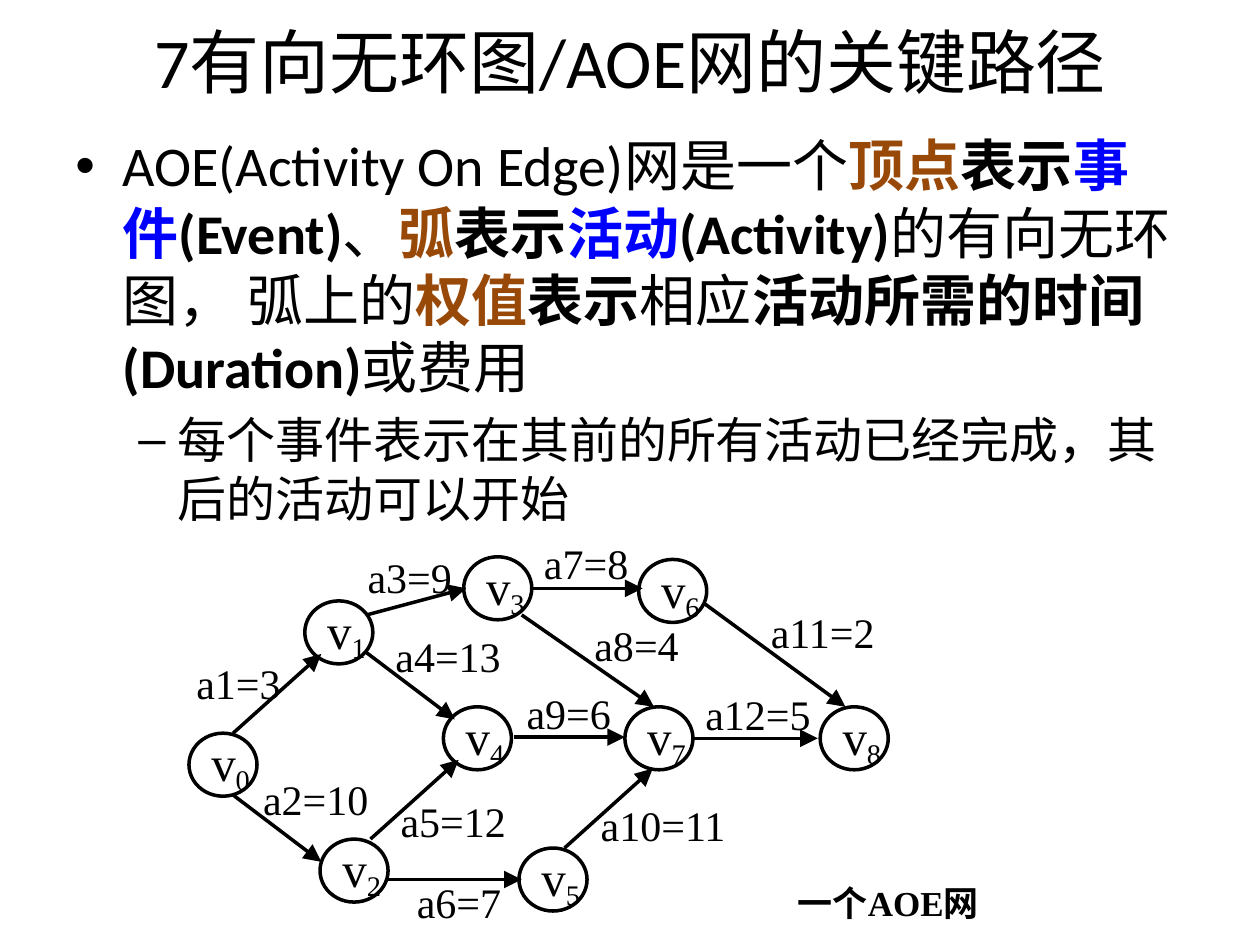
"""Build the slide on critical paths in AOE networks."""
import pptx
import pptx.util
import pptx.dml.color
import pptx.enum.shapes
import pptx.enum.text
import pptx.oxml
import pptx.oxml.ns
from lxml import etree

Pt = pptx.util.Pt
ALIGN = pptx.enum.text.PP_ALIGN
ANCHOR = pptx.enum.text.MSO_ANCHOR
COLORS = {"ink": "000000", "brown": "984807", "blue": "0000FF"}
SANS, SERIF = "Calibri", "Times New Roman"

TITLE = "7有向无环图/AOE网的关键路径"
CAPTION = "一个AOE网"
DEFINITION = [
    ("AOE(Activity On Edge)网是一个", "ink", False),
    ("顶点", "brown", True),
    ("表示", "ink", True),
    ("事件", "blue", True),
    ("(Event)", "ink", True),
    ("、", "ink", False),
    ("弧", "brown", True),
    ("表示", "ink", True),
    ("活动", "blue", True),
    ("(Activity)", "ink", True),
    ("的有向无环图， 弧上的", "ink", False),
    ("权值", "brown", True),
    ("表示", "ink", True),
    ("相应", "ink", False),
    ("活动所需的时间(Duration)", "ink", True),
    ("或费用", "ink", False),
]
MEANING = [("每个事件表示在其前的所有活动已经完成，其后的活动可以开始", "ink", False)]
BULLETS = [
    {"runs": DEFINITION, "size": 32, "mark": "•", "left": 27, "hang": 27},
    {"runs": MEANING, "size": 28, "mark": "–", "left": 58.5, "hang": 22.5},
]

NODE_SIZE = (38.9, 36)
NODES = [
    (108, 419), (174.2, 343.4), (182.9, 479.5),
    (265, 318.2), (253.4, 403.9), (296.6, 484.6),
    (365, 319.7), (357.1, 403.9), (468.7, 403.9),
]
LABEL_HEIGHT, LABEL_PADDING, LABEL_CHARACTER = 32.4, 18, 12
ACTIVITIES = [
    ("a1=3", (105.1, 373.7), (133.2, 419), (183.6, 373.7)),
    ("a2=10", (143.3, 439.9), (133.2, 454.3), (183.6, 492.5)),
    ("a3=9", (203, 313.2), (209.5, 351.4), (266.4, 336.2)),
    ("a4=13", (218.9, 358.6), (209.5, 373), (259.9, 411.1)),
    ("a5=12", (221.8, 452.9), (211.7, 479.5), (262.1, 434.2)),
    ("a6=7", (231.1, 499), (221.8, 502.6), (298.1, 502.6)),
    ("a7=8", (303.8, 305.3), (303.8, 336.2), (367.2, 336.2)),
    ("a8=4", (332.6, 352.1), (298.1, 351.4), (373.7, 403.9)),
    ("a9=6", (293.8, 391), (293.8, 421.2), (357.1, 421.2)),
    ("a10=11", (336.2, 455), (322.6, 484.6), (373, 439.2)),
    ("a11=2", (433.4, 344.9), (402.5, 344.9), (483.1, 403.9)),
    ("a12=5", (396, 391.7), (396, 421.9), (467.3, 421.9)),
]


def rgb(name):
    return pptx.dml.color.RGBColor.from_string(COLORS[name])


def add_span(para, text, size, font, color="ink", bold=False):
    span = para.add_run()
    span.text = text
    span.font.size, span.font.name, span.font.bold = Pt(size), font, bold
    span.font.color.rgb = rgb(color)
    return span


def add_text(page, frame, text, size, font, align=ALIGN.LEFT, bold=False, wrap=False):
    box = page.shapes.add_textbox(*map(Pt, frame))
    box.text_frame.word_wrap = wrap
    box.text_frame.vertical_anchor = ANCHOR.MIDDLE
    para = box.text_frame.paragraphs[0]
    para.alignment = align
    add_span(para, text, size, font, bold=bold)


def add_bullets(page, frame):
    text_frame = page.shapes.add_textbox(*map(Pt, frame)).text_frame
    text_frame.word_wrap = True
    for index, item in enumerate(BULLETS):
        para = text_frame.add_paragraph() if index else text_frame.paragraphs[0]
        para.level = index
        para.space_before = Pt(item["size"] * 0.2)
        properties = para._p.get_or_add_pPr()
        properties.set("marL", str(Pt(item["left"])))
        properties.set("indent", str(-Pt(item["hang"])))
        font = etree.SubElement(properties, pptx.oxml.ns.qn("a:buFont"))
        font.set("typeface", "Arial")
        mark = etree.SubElement(properties, pptx.oxml.ns.qn("a:buChar"))
        mark.set("char", item["mark"])
        for text, color, bold in item["runs"]:
            add_span(para, text, item["size"], SANS, color, bold)


def add_node(page, number, corner):
    node = page.shapes.add_shape(
        pptx.enum.shapes.MSO_SHAPE.OVAL, *map(Pt, corner + NODE_SIZE))
    node.shadow.inherit = False
    node.fill.background()
    node.line.color.rgb, node.line.width = rgb("ink"), Pt(2)
    node.text_frame.word_wrap = False
    node.text_frame.vertical_anchor = ANCHOR.MIDDLE
    para = node.text_frame.paragraphs[0]
    para.alignment = ALIGN.LEFT
    add_span(para, "v", 28, SERIF)
    subscript = add_span(para, str(number), 28, SERIF)
    subscript._r.get_or_add_rPr().set("baseline", "-18000")


def add_label(page, label, corner):
    width = LABEL_PADDING + LABEL_CHARACTER * len(label)
    add_text(page, corner + (width, LABEL_HEIGHT), label, 24, SERIF)


def add_arrow(page, start, end):
    arrow = page.shapes.add_connector(
        pptx.enum.shapes.MSO_CONNECTOR.STRAIGHT, *map(Pt, start + end))
    arrow.line.color.rgb, arrow.line.width = rgb("ink"), Pt(2)
    head = etree.SubElement(arrow.line._get_or_add_ln(), pptx.oxml.ns.qn("a:tailEnd"))
    for name, value in (("type", "triangle"), ("w", "lg"), ("len", "lg")):
        head.set(name, value)
    etree.SubElement(arrow._element.spPr, pptx.oxml.ns.qn("a:effectLst"))


def main():
    deck = pptx.Presentation()
    deck.slide_width, deck.slide_height = Pt(720), Pt(540)
    page = deck.slides.add_slide(deck.slide_layouts[6])
    add_text(page, (36, -2.2, 648, 73.4), TITLE, 40, SANS, ALIGN.CENTER, wrap=True)
    add_bullets(page, (36, 71.3, 648, 459.4))
    for number, corner in enumerate(NODES):
        add_node(page, number, corner)
    for label, corner, start, end in ACTIVITIES:
        add_label(page, label, corner)
        add_arrow(page, start, end)
    add_text(page, (418.3, 501.8, 178.6, 28.1), CAPTION, 20, SERIF, ALIGN.CENTER, bold=True)
    deck.save("out.pptx")


if __name__ == "__main__":
    main()
